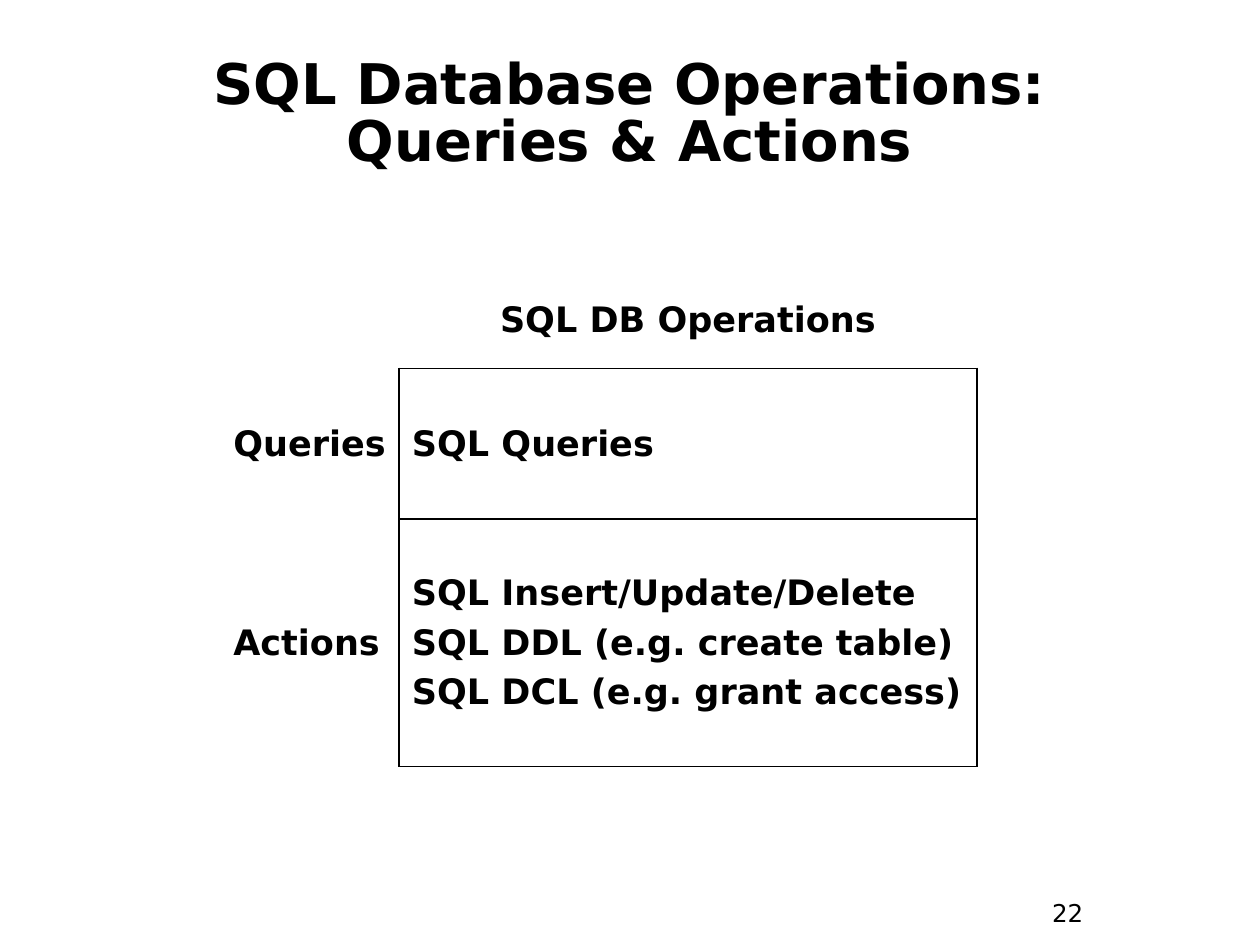
from lxml import etree
from pptx import Presentation
from pptx.dml.color import RGBColor
from pptx.enum.text import MSO_ANCHOR, PP_ALIGN
from pptx.oxml.ns import qn
from pptx.util import Cm, Pt

LEFT, CENTER = PP_ALIGN.LEFT, PP_ALIGN.CENTER
TOP, MIDDLE, BOTTOM = MSO_ANCHOR.TOP, MSO_ANCHOR.MIDDLE, MSO_ANCHOR.BOTTOM

COLORS = {"text": "000000", "border": "000000"}
FONT = "DejaVu Sans"
BORDER_WIDTH = Pt(1.08)
EDGES = {"left": "a:lnL", "right": "a:lnR", "top": "a:lnT", "bottom": "a:lnB"}

HEADING = "SQL DB Operations"
OPERATIONS = {
    "Queries": ["SQL Queries"],
    "Actions": [
        "SQL Insert/Update/Delete",
        "SQL DDL (e.g. create table)",
        "SQL DCL (e.g. grant access)",
    ],
}


class SlideBuilder:
    def __init__(self, slide):
        self.slide = slide

    def paragraphs(self, frame, lines, size, bold=True, **paragraph_format):
        """Put each line in its own paragraph; a \\v inside a line breaks it."""
        font_format = {"name": FONT, "size": Pt(size), "bold": bold}
        for index, line in enumerate(lines):
            paragraph = frame.add_paragraph() if index else frame.paragraphs[0]
            paragraph.text = line
            for key, value in paragraph_format.items():
                setattr(paragraph, key, value)
            for run in paragraph.runs:
                for key, value in font_format.items():
                    setattr(run.font, key, value)
                run.font.color.rgb = RGBColor.from_string(COLORS["text"])

    def text(self, line, left, top, width, height, size, anchor=TOP, **style):
        box = self.slide.shapes.add_textbox(Cm(left), Cm(top), Cm(width), Cm(height))
        box.text_frame.word_wrap = True
        box.text_frame.vertical_anchor = anchor
        self.paragraphs(box.text_frame, [line], size, **style)

    def table(self, left, top, columns, rows):
        frame = self.slide.shapes.add_table(
            len(rows), len(columns), Cm(left), Cm(top), Cm(sum(columns)), Cm(sum(rows))
        )
        table = frame.table
        table.first_row = table.horz_banding = False
        for column, width in zip(table.columns, columns):
            column.width = Cm(width)
        for row, height in zip(table.rows, rows):
            row.height = Cm(height)
        return table

    def cell(self, cell, lines, edges=(), align=LEFT, anchor=MIDDLE):
        """Fill a cell with text and draw only the named edges."""
        properties = cell._tc.get_or_add_tcPr()
        for edge, tag in EDGES.items():
            line = etree.SubElement(properties, qn(tag), w=str(BORDER_WIDTH))
            if edge in edges:
                fill = etree.SubElement(line, qn("a:solidFill"))
                etree.SubElement(fill, qn("a:srgbClr"), val=COLORS["border"])
            else:
                etree.SubElement(line, qn("a:noFill"))
        cell.fill.background()
        cell.vertical_anchor = anchor
        self.paragraphs(cell.text_frame, lines, 20, alignment=align, space_before=Pt(5))


def main():
    deck = Presentation()
    deck.slide_width, deck.slide_height = Cm(25.4), Cm(19.05)
    builder = SlideBuilder(deck.slides.add_slide(deck.slide_layouts[6]))

    builder.text("22", 20.96, 17.98, 1.9, 0.94, 14, bold=False, space_before=Pt(8.8))
    builder.text(
        "SQL Database Operations:\vQueries & Actions", 0.85, 1.27, 23.7, 2.12, 32,
        anchor=MIDDLE, alignment=CENTER, line_spacing=0.85,
    )

    operations = builder.table(4.45, 4.65, columns=[3.6, 11.64], rows=[2.78, 3.04, 4.98])
    builder.cell(operations.cell(0, 0), [])
    heading = operations.cell(0, 1)
    heading.margin_bottom = Cm(0.56)
    builder.cell(heading, [HEADING], ["bottom"], CENTER, BOTTOM)
    for row, (kind, statements) in enumerate(OPERATIONS.items(), start=1):
        builder.cell(operations.cell(row, 0), [kind], ["right"])
        builder.cell(operations.cell(row, 1), statements, EDGES)

    deck.save("out.pptx")


if __name__ == "__main__":
    main()
